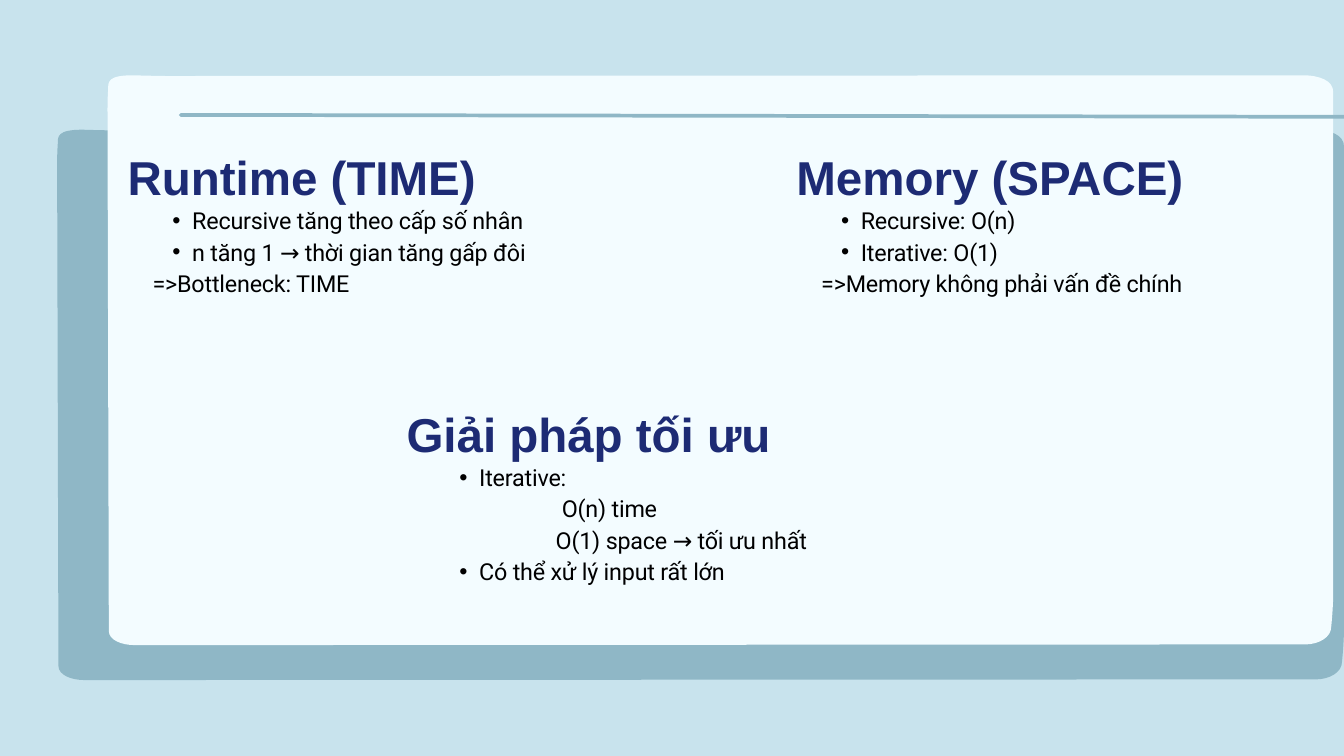
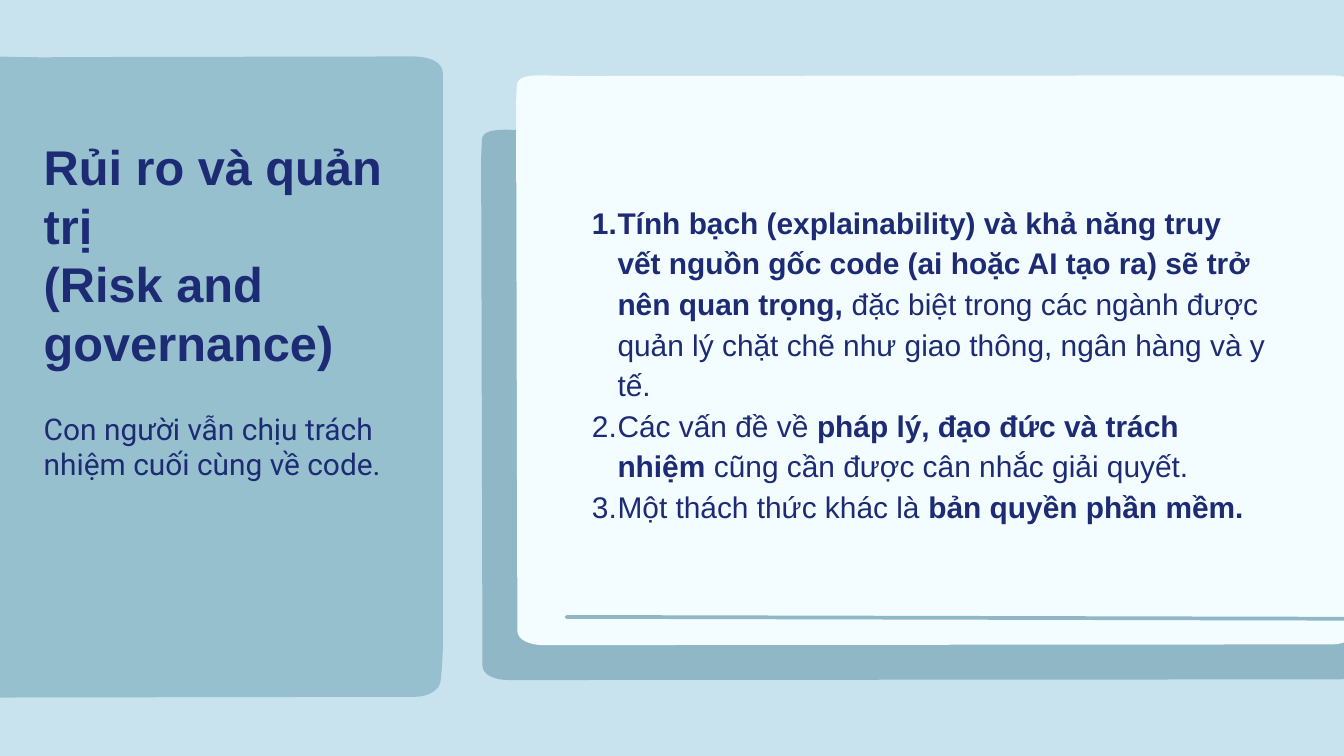
from lxml import etree
from pptx import Presentation, util as u
from pptx.dml.color import RGBColor
from pptx.enum import shapes, text
from pptx.oxml.ns import qn

PX = u.Inches(1) // 100  # one px is a hundredth of an inch
COLORS = {
    "background": "C8E3ED",
    "paper": "F3FCFF",
    "backing": "8FB7C6",
    "side": "97C0CF",
    "navy": "1D2B74",
    "black": "000000",
}
BULLET, NUMBER = "bullet", "number"


def rgb(name):
    return RGBColor.from_string(COLORS[name])


def px(value):
    return u.Emu(round(value * PX))


def add_run(p, words, size, font, color, bold=False, spacing=0):
    r = p.add_run()
    r.text = words
    r.font.size = u.Pt(size)
    r.font.name = font
    r.font.bold = bold
    r.font.color.rgb = rgb(color)
    if spacing:
        r._r.get_or_add_rPr().set("spc", str(spacing))


def panel_outline(left, top, right, bottom):
    """Uneven rounded outline: one point for a line, three for a curve."""
    l, t, r, b = left, top, right, bottom
    return [
        [(r - 92, b - 1)],
        [(l + 41, b)],
        [(l + 20, b), (l + 2, b - 8), (l + 2, b - 21)],
        [(l, t + 50)],
        [(l, t + 33), (l + 1, t + 21), (l + 1, t + 21)],
        [(l + 1, t + 10), (l, t), (l + 38, t)],
        [(l + 38, t), (l + 95, t + 2), (l + 136, t + 1)],
        [(r - 46, t)],
        [(r - 20, t), (r, t + 8), (r, t + 25)],
        [(r, b - 80)],
        [(r, b - 55), (r - 3, b - 27), (r - 3, b - 27)],
        [(r - 3, b - 12), (r - 21, b - 1), (r - 42, b - 1)],
    ]


def bend(sp, segments):
    """Turn the straight sides that have control points into curves."""
    sides = list(sp._element.iter(qn("a:lnTo")))
    for side, (*controls, _) in zip(sides, segments):
        if controls:
            side.tag = qn("a:cubicBezTo")
        for i, (x, y) in enumerate(controls):
            pt = etree.Element(qn("a:pt"), x=str(px(x) - sp.left), y=str(px(y) - sp.top))
            side.insert(i, pt)


class Deck:
    def __init__(self, width, height):
        self.prs = Presentation()
        self.prs.slide_width, self.prs.slide_height = px(width), px(height)
        self.s = None

    def slide(self):
        self.s = self.prs.slides.add_slide(self.prs.slide_layouts[6])
        fill = self.s.background.fill
        fill.solid()
        fill.fore_color.rgb = rgb("background")

    def panel(self, left, top, width, height, color):
        segments = panel_outline(left, top, left + width, top + height)
        corners = [(px(x), px(y)) for *_, (x, y) in segments]
        outline = self.s.shapes.build_freeform(*corners[-1])
        outline.add_line_segments(corners, close=True)
        sp = outline.convert_to_shape()
        bend(sp, segments)
        sp.shadow.inherit = False
        sp.fill.solid()
        sp.fill.fore_color.rgb = rgb(color)
        sp.line.fill.background()

    def sheet(self, left, backing_left, right, backing_right):
        """White sheet lying on a darker backing panel."""
        self.panel(backing_left, 193, backing_right - backing_left, 819, "backing")
        self.panel(left, 112, right - left, 848, "paper")

    def rule(self, x, y):
        line = self.s.shapes.add_connector(
            shapes.MSO_CONNECTOR.STRAIGHT, px(x), px(y), px(2112), px(y + 3))
        line.line.color.rgb = rgb("backing")
        line.line.width = u.Pt(4)
        line.line._get_or_add_ln().set("cap", "rnd")
        etree.SubElement(line._element.spPr, qn("a:effectLst"))

    def text(self, box, lines, leading, marker_indent=0, align=None, bold=False, **style):
        """Each line is (words, marker or left indent); ** switches bold."""
        sp = self.s.shapes.add_textbox(*map(px, box))
        tf = sp.text_frame
        tf.word_wrap = True
        tf.auto_size = text.MSO_AUTO_SIZE.SHAPE_TO_FIT_TEXT
        tf.margin_left = tf.margin_top = tf.margin_right = tf.margin_bottom = 0
        for i, (words, lead) in enumerate(lines):
            p = tf.paragraphs[0] if i == 0 else tf.add_paragraph()
            self.lead(p, lead, marker_indent)
            p.line_spacing = u.Pt(leading)
            if align:
                p.alignment = align
            for j, part in enumerate(words.split("**")):
                if part:
                    add_run(p, part, bold=bold or j % 2 == 1, **style)

    def lead(self, p, lead, marker_indent):
        pPr = p._p.get_or_add_pPr()
        if lead not in (BULLET, NUMBER):
            pPr.set("marL", str(px(lead)))
            pPr.set("indent", "0")
            return
        p.level = 1
        pPr.set("marL", str(px(2 * marker_indent)))
        pPr.set("indent", str(px(-marker_indent)))
        if lead == BULLET:
            etree.SubElement(pPr, qn("a:buFont")).set("typeface", "Arial")
            etree.SubElement(pPr, qn("a:buChar")).set("char", "•")
        else:
            etree.SubElement(pPr, qn("a:buAutoNum")).set("type", "arabicPeriod")

    def title(self, box, lines, size, leading, align=None):
        self.text(box, [(words, 0) for words in lines], leading, align=align,
                  size=size, font="Arial", color="navy", bold=True)

    def topic(self, left, top, width, heading, body_box, lines):
        """Heading with a short list below it."""
        self.text(body_box, lines, 33.7, marker_indent=29.5,
                  size=25, font="Roboto", color="black", spacing=-20)
        self.title((left, top, width, 84), [heading], 50.9, 61.1, text.PP_ALIGN.JUSTIFY)


def main():
    deck = Deck(2000, 1125)

    # Slide 1: time, space and the best solution
    deck.slide()
    deck.sheet(left=160, backing_left=85, right=1984, backing_right=2000)
    deck.rule(269, 171)
    comparison = [
        (190, "Runtime (TIME)", [
            ("Recursive tăng theo cấp số nhân", BULLET),
            ("n tăng 1 → thời gian tăng gấp đôi", BULLET),
            ("=>Bottleneck: TIME", 0)]),
        (1185, "Memory (SPACE)", [
            ("Recursive: O(n)", BULLET),
            ("Iterative: O(1)", BULLET),
            ("=>Memory không phải vấn đề chính", 0)]),
    ]
    for left, heading, lines in comparison:
        deck.topic(left, 220, 1904, heading, (left + 37, 302, 1767, 181), lines)
    deck.topic(605, 603, 1354, "Giải pháp tối ưu", (654, 684, 1257, 227), [
        ("Iterative:", BULLET),
        ("O(n) time", 182),
        ("O(1) space → tối ưu nhất", 173),
        ("Có thể xử lý input rất lớn", BULLET)])

    # Slide 2: risk and governance
    deck.slide()
    deck.panel(-43, 84, 702, 954, "side")
    deck.sheet(left=768, backing_left=716, right=2024, backing_right=2035)
    deck.rule(843, 918)
    deck.text((843, 297, 1044, 421), [
        ("**Tính bạch (explainability) và khả năng truy vết nguồn gốc code "
         "(ai hoặc AI tạo ra) sẽ trở nên quan trọng, **đặc biệt trong các ngành "
         "được quản lý chặt chẽ như giao thông, ngân hàng và y tế.", NUMBER),
        ("Các vấn đề về **pháp lý, đạo đức và trách nhiệm **"
         "cũng cần được cân nhắc giải quyết.", NUMBER),
        ("Một thách thức khác là **bản quyền phần mềm.**", NUMBER),
    ], 43.5, marker_indent=38, size=32, font="Arial", color="navy")
    deck.title((65, 204, 558, 259), ["Rủi ro và quản trị", "(Risk and governance)"], 52.2, 62.7)
    deck.text((65, 613, 515, 105),
              [("Con người vẫn chịu trách nhiệm cuối cùng về code.", 0)],
              37.1, size=32, font="Roboto", color="navy")

    deck.prs.save("out.pptx")


if __name__ == "__main__":
    main()
